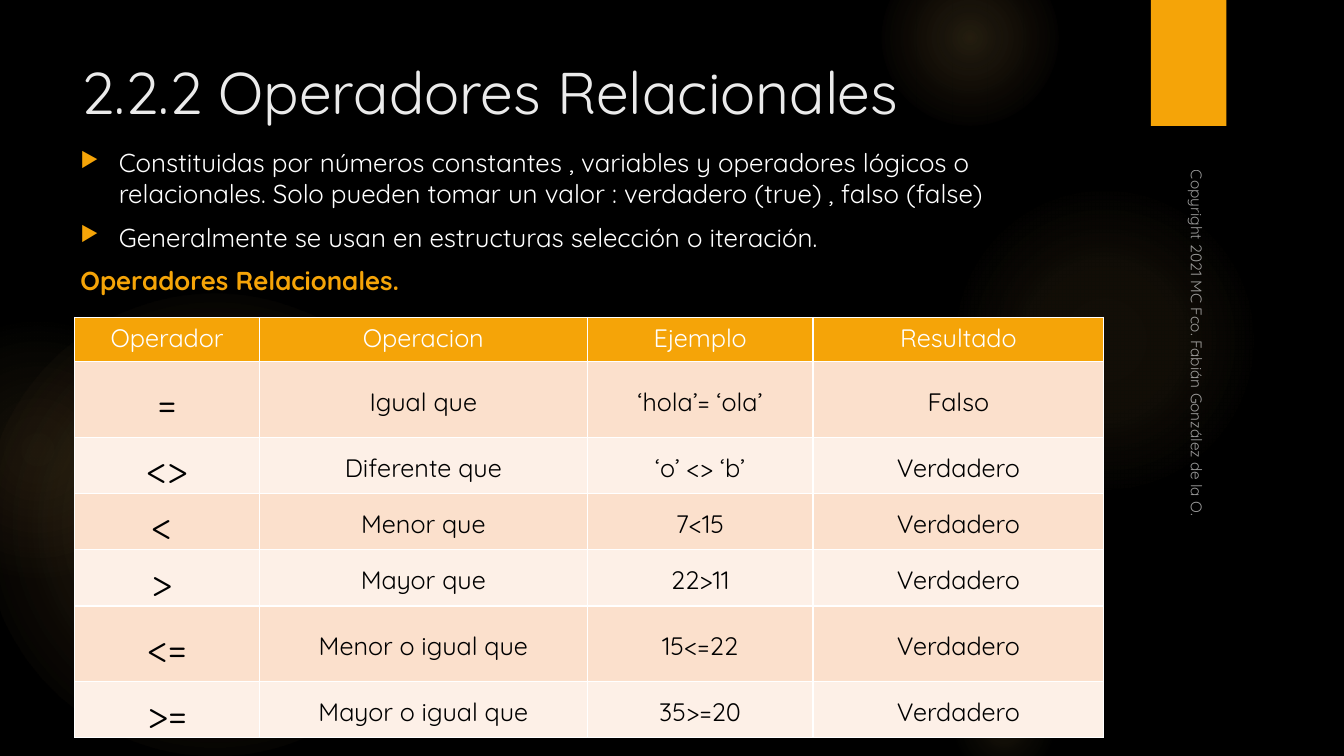
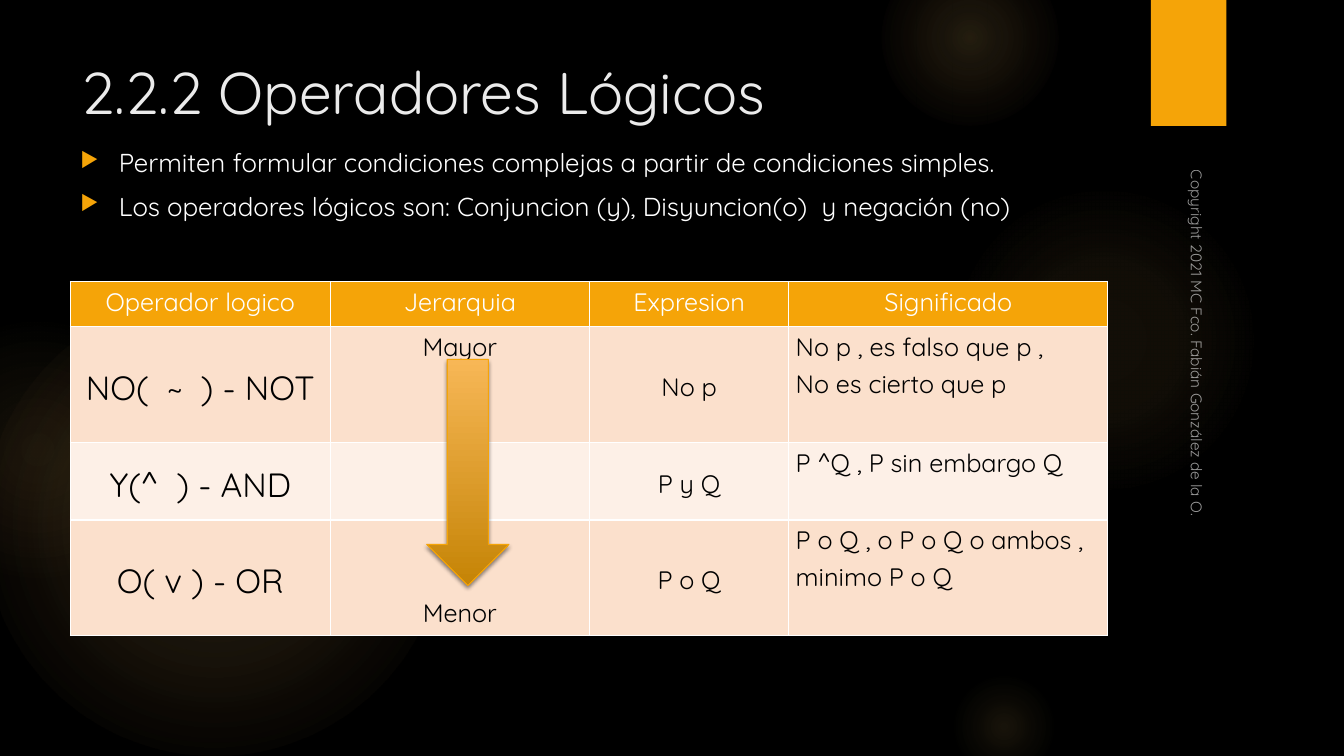
from pptx import Presentation
from pptx.dml.color import RGBColor
from pptx.enum.shapes import MSO_SHAPE
from pptx.enum.text import MSO_ANCHOR, PP_ALIGN
from pptx.oxml import parse_xml
from pptx.oxml.ns import qn
from pptx.util import Inches, Pt
from lxml.etree import SubElement

BLACK = RGBColor(0x00, 0x00, 0x00)
WHITE = RGBColor(0xFF, 0xFF, 0xFF)
PALE = RGBColor(0xEB, 0xEB, 0xEB)
AMBER = RGBColor(0xF5, 0xA4, 0x08)
LIGHT = RGBColor(0xF7, 0xB7, 0x56)
DARK = RGBColor(0xC5, 0x84, 0x06)
GLOW = RGBColor(0xFA, 0xC9, 0x6A)
BANDS = (RGBColor(0xFB, 0xE0, 0xCC), RGBColor(0xFD, 0xF0, 0xE7))

FONT = "Quicksand"
COLS, ROWS = 160, 90
CELL = Inches(1) / 12
NS = 'xmlns:a="http://schemas.openxmlformats.org/drawingml/2006/main"'
CREDIT = "Copyright 2021 MC Fco. Fabián González de la O."

# left, top, size, then (position, opacity) stops in percent
GLOWS = (
    (-2, 35, 55, ((0, 11), (36, 10), (75, 0))),
    (-11, 38, 31, ((0, 8), (36, 5), (71, 0))),
    (113, 22, 37, ((0, 7), (36, 6), (69, 0))),
    (105, -6, 21, ((0, 14), (36, 7), (73, 0))),
    (113, 80, 13, ((0, 10), (31, 5), (66, 0))),
)


def grid(*units):
    """Turn grid columns or rows into slide lengths."""
    return [round(unit * CELL) for unit in units]


def write(frame, text, size=18, color=WHITE, bold=False, align=PP_ALIGN.LEFT,
          line=None, gap=0, bullet=False, alpha=None, more=False):
    """Fill a frame, one paragraph per line; more adds to what is there."""
    for i, part in enumerate(text.split("\n")):
        para = frame.add_paragraph() if i or more else frame.paragraphs[0]
        para.alignment = align
        para.space_after = Pt(gap)
        if line:
            para.line_spacing = line
        run = para.add_run()
        run.text = part
        font = run.font
        font.name, font.size, font.bold = FONT, Pt(size), bold
        font.color.rgb = color
        if alpha:
            tint = font.fill._xPr.find(".//" + qn("a:srgbClr"))
            SubElement(tint, qn("a:alpha"), val=str(alpha * 1000))
        if bullet:
            mark(para)


def mark(para):
    """Give a paragraph the amber triangle bullet."""
    props = para._p.get_or_add_pPr()
    props.set("marL", str(Inches(0.38)))
    props.set("indent", str(-Inches(0.38)))
    tint = SubElement(props, qn("a:buClr"))
    SubElement(tint, qn("a:srgbClr"), val=str(AMBER))
    SubElement(props, qn("a:buSzPct"), val="80000")
    SubElement(props, qn("a:buChar"), char="▶")


def shade(shape):
    """Put a soft black shadow below a shape."""
    shape.shadow.inherit = False
    list_ = shape._element.spPr.find(qn("a:effectLst"))
    cast = SubElement(list_, qn("a:outerShdw"), blurRad=str(Pt(3)),
                      dist=str(Pt(2)), dir="5400000", rotWithShape="0")
    tint = SubElement(cast, qn("a:srgbClr"), val=str(BLACK))
    SubElement(tint, qn("a:alpha"), val="45000")


def edge(cell):
    """Draw thin white lines round a table cell."""
    props = cell._tc.get_or_add_tcPr()
    for side in ("lnL", "lnR", "lnT", "lnB"):
        line = SubElement(props, qn("a:" + side), w=str(Pt(1)))
        fill = SubElement(line, qn("a:solidFill"))
        SubElement(fill, qn("a:srgbClr"), val=str(WHITE))


class Deck:
    """Holds the shared style and the current slide."""

    def __init__(self):
        self.show = Presentation()
        self.show.slide_width, self.show.slide_height = grid(COLS, ROWS)
        self.slide = None

    def start(self, title):
        self.slide = self.show.slides.add_slide(self.show.slide_layouts[6])
        back = self.slide.background.fill
        back.solid()
        back.fore_color.rgb = BLACK
        for left, top, size, stops in GLOWS:
            self.glow(left, top, size, stops)
        tab = self.shape(MSO_SHAPE.RECTANGLE, 137, 0, 9, 15)
        tab.fill.solid()
        tab.fill.fore_color.rgb = AMBER
        shade(tab)
        write(self.box(8.5, 6, 123.5, 10.3).text_frame, title, size=42, color=PALE)
        note = self.box(117.5, 42.35, 50.6, 4)
        note.rotation = 90
        note.text_frame.vertical_anchor = MSO_ANCHOR.BOTTOM
        write(note.text_frame, CREDIT, size=11, alpha=60)

    def box(self, *area):
        box = self.slide.shapes.add_textbox(*grid(*area))
        box.text_frame.word_wrap = True
        return box

    def shape(self, kind, *area):
        shape = self.slide.shapes.add_shape(kind, *grid(*area))
        shape.shadow.inherit = False
        shape.line.fill.background()
        return shape

    def glow(self, left, top, size, stops):
        disc = self.shape(MSO_SHAPE.OVAL, left, top, size, size)
        disc.fill.background()
        list_ = "".join(
            f'<a:gs pos="{pos * 1000}"><a:srgbClr val="{GLOW}">'
            f'<a:alpha val="{alpha * 1000}"/></a:srgbClr></a:gs>'
            for pos, alpha in stops)
        fade = parse_xml(
            f'<a:gradFill {NS} rotWithShape="1"><a:gsLst>{list_}</a:gsLst>'
            '<a:path path="circle"><a:fillToRect l="50000" t="50000" '
            'r="50000" b="50000"/></a:path></a:gradFill>')
        props = disc._element.spPr
        props.replace(props.find(qn("a:noFill")), fade)

    def body(self, points, head=None):
        frame = self.box(8.4, 16.9, 123, 19.7 if head else 12.5).text_frame
        write(frame, points, size=18.5, gap=8.7, bullet=True)
        if head:
            write(frame, head, size=18.5, color=AMBER, bold=True, more=True)

    def table(self, left, top, cols, rows, data, lead, form=None):
        """Lead sizes the first column; form maps a column or cell to
        its anchor and alignment."""
        form = form or {}
        area = grid(left, top, sum(cols), sum(rows))
        table = self.slide.shapes.add_table(len(rows), len(cols), *area).table
        table.first_row = table.horz_banding = False
        for col, width in zip(table.columns, grid(*cols)):
            col.width = width
        for row, height in zip(table.rows, grid(*rows)):
            row.height = height
        for r, line in enumerate(data):
            for c, text in enumerate(line):
                cell = table.cell(r, c)
                plain = (MSO_ANCHOR.MIDDLE, PP_ALIGN.CENTER)
                anchor, align = form.get((r, c), form.get(c, plain))
                if r == 0:
                    anchor, align = MSO_ANCHOR.TOP, PP_ALIGN.CENTER
                edge(cell)
                cell.fill.solid()
                cell.fill.fore_color.rgb = BANDS[(r - 1) % 2] if r else AMBER
                cell.margin_left = cell.margin_right = Inches(0.07)
                cell.margin_top = cell.margin_bottom = 0
                if anchor == MSO_ANCHOR.BOTTOM:
                    cell.margin_bottom = Inches(0.07)
                cell.vertical_anchor = anchor
                if text:
                    write(cell.text_frame, text, size=lead if r and not c else 18,
                          color=BLACK if r else WHITE, align=align, line=1.15)

    def arrow(self, *area):
        arrow = self.shape(MSO_SHAPE.DOWN_ARROW, *area)
        arrow.fill.gradient()
        arrow.fill.gradient_angle = 270
        for stop, color, pos in zip(arrow.fill.gradient_stops, (LIGHT, DARK), (0, 1)):
            stop.color.rgb = color
            stop.position = pos
        arrow.line.color.rgb = AMBER
        arrow.line.width = Pt(0.75)
        shade(arrow)


def main():
    deck = Deck()

    deck.start("2.2.2 Operadores Relacionales")
    deck.body(
        "Constituidas por números constantes , variables y operadores lógicos o "
        "relacionales. Solo pueden tomar un valor : verdadero (true) , falso (false)\n"
        "Generalmente se usan en estructuras selección o iteración.",
        head="Operadores Relacionales.")
    deck.table(
        8.9, 37.8, (22, 39, 26.9, 34.6), (5.25, 9, 6.7, 6.7, 6.7, 9, 6.7),
        (("Operador", "Operacion", "Ejemplo", "Resultado"),
         ("=", "Igual que", "‘hola’= ‘ola’", "Falso"),
         ("<>", "Diferente que", "‘o’ <> ‘b’", "Verdadero"),
         ("< ", "Menor que", "7<15", "Verdadero"),
         ("> ", "Mayor que", "22>11", "Verdadero"),
         ("<=", "Menor o igual que", "15<=22", "Verdadero"),
         (">=", "Mayor o igual que", "35>=20", "Verdadero")),
        lead=28)

    deck.start("2.2.2 Operadores Lógicos")
    deck.body(
        "Permiten formular condiciones complejas a partir de condiciones simples.\n"
        "Los operadores lógicos son: Conjuncion (y), Disyuncion(o)  y negación (no)")
    deck.table(
        8.4, 33.5, (30.9, 30.9, 23.7, 38), (5.4, 13.8, 9.2, 13.8),
        (("Operador logico", "Jerarquia", "Expresion", "Significado"),
         ("NO(  ~  ) - NOT", "Mayor", "No p",
          "No p , es falso que p ,\nNo es cierto que p"),
         ("Y(^  ) - AND", "", "P y Q", "P ^Q , P sin embargo Q"),
         ("O( v ) - OR", "Menor", "P o Q",
          "P o Q , o P o Q o ambos , minimo P o Q")),
        lead=24,
        form={1: (MSO_ANCHOR.TOP, PP_ALIGN.CENTER),
              3: (MSO_ANCHOR.TOP, PP_ALIGN.LEFT),
              (3, 1): (MSO_ANCHOR.BOTTOM, PP_ALIGN.CENTER)})
    deck.arrow(50.8, 42.8, 9.8, 26.9)

    deck.show.save("out.pptx")


if __name__ == "__main__":
    main()
